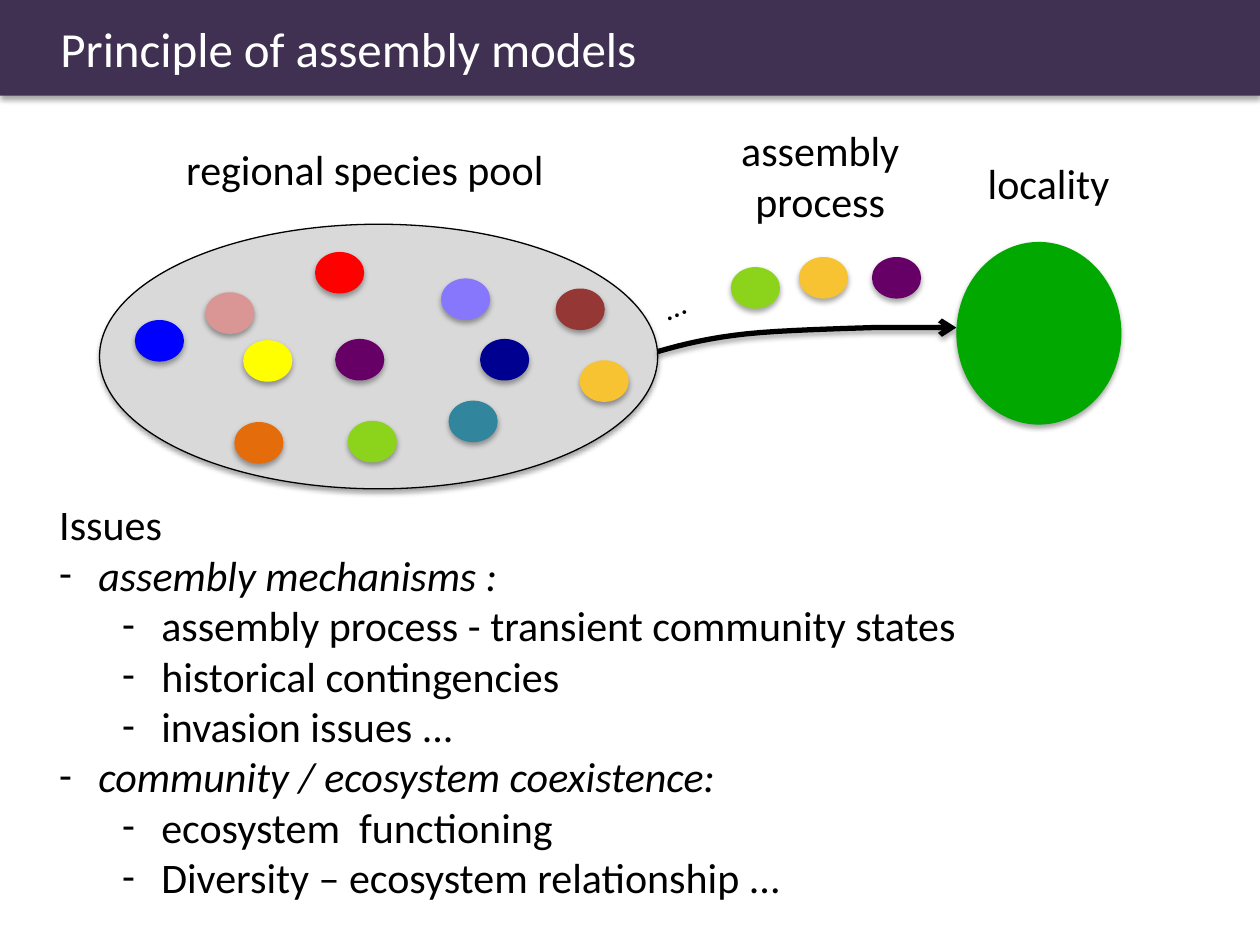
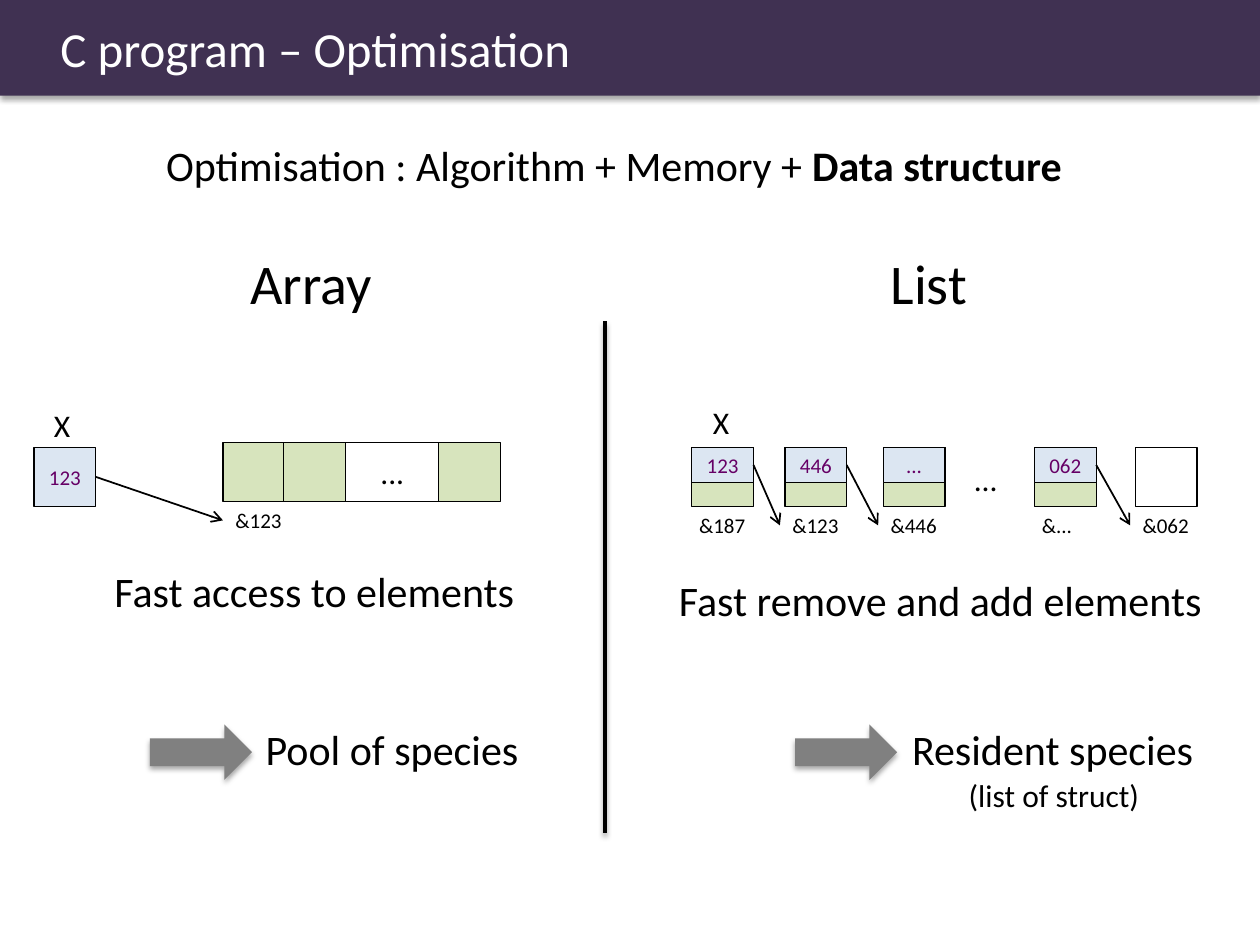
from dataclasses import dataclass

from lxml.etree import SubElement
from pptx import Presentation
from pptx.dml.color import RGBColor
from pptx.enum.shapes import MSO_CONNECTOR, MSO_SHAPE
from pptx.enum.text import MSO_ANCHOR, MSO_AUTO_SIZE, PP_ALIGN
from pptx.oxml.ns import qn
from pptx.util import Inches, Length, Pt

FONT = "Calibri"
COLORS = {
    "band": "403152", "white": "FFFFFF", "black": "000000", "pool": "D9D9D9",
    "locality": "00A800", "arrow": "808080", "pointer": "DCE6F2",
    "element": "D7E4BD", "value": "660066",
    "rose": "D99694", "purple": "660066", "navy": "000090", "amber": "F7C332",
    "blue": "0000FF", "teal": "31859C", "lime": "8CD31C", "yellow": "FFFF00",
    "orange": "E46C0A", "brown": "953735", "lavender": "8677FC", "red": "FF0000",
}
CELL_WIDTH, CELL_HEIGHT, POINTER_HEIGHT = 0.49, 0.47, 0.28
LIST_TOP = 3.55


@dataclass(frozen=True)
class Label:
    text: str
    left: float
    top: float
    width: float
    height: float = 0.5
    size: int = 24


@dataclass(frozen=True)
class Species:
    color: str
    left: float
    top: float


@dataclass(frozen=True)
class Node:
    left: float
    address: str
    pointer: str = ""
    label_width: float = 0.57
    linked: bool = True


@dataclass(frozen=True)
class Issue:
    text: str
    level: int = 0
    bullet: bool = True


POOL = [
    Species("rose", 1.63, 2.32), Species("purple", 2.66, 2.69),
    Species("navy", 3.81, 2.69), Species("amber", 4.6, 2.86),
    Species("blue", 1.07, 2.54), Species("teal", 3.56, 3.18),
    Species("lime", 2.76, 3.34), Species("yellow", 1.93, 2.7),
    Species("orange", 1.86, 3.35), Species("brown", 4.41, 2.29),
    Species("lavender", 3.5, 2.21), Species("red", 2.5, 2),
]
ASSEMBLED = [
    Species("amber", 6.34, 2.04), Species("purple", 6.92, 2.04),
    Species("lime", 5.8, 2.12),
]
ASSEMBLY_LABELS = [
    Label("regional species pool", 1.38, 1.09, 3.07),
    Label("locality", 7.74, 1.2, 1.18),
]
ASSEMBLY_CURVE = [
    [(5.22, 2.79), (5.43, 2.73), (5.64, 2.68), (5.92, 2.65)],
    [(5.92, 2.65), (6.21, 2.62), (6.64, 2.61), (6.92, 2.6)],
    [(6.92, 2.6), (7.19, 2.6), (7.4, 2.6), (7.59, 2.6)],
]
ISSUES = [
    Issue("Issues", bullet=False),
    Issue("assembly mechanisms :"),
    Issue("assembly process - transient community states", 1),
    Issue("historical contingencies", 1),
    Issue("invasion issues ...", 1),
    Issue("community / ecosystem coexistence:"),
    Issue("ecosystem  functioning", 1),
    Issue("Diversity – ecosystem relationship ...", 1),
]
STRUCTURE_LABELS = [
    Label("Array", 1.89, 1.92, 1.19, 0.64, 32),
    Label("List", 6.97, 1.92, 0.82, 0.64, 32),
    Label("X", 0.33, 3.17, 0.33, 0.4, 18),
    Label("X", 5.56, 3.15, 0.33, 0.4, 18),
    Label("...", 2.92, 3.55, 0.39, 0.4, 18),
    Label("...", 7.63, 3.6, 0.39, 0.4, 18),
    Label("Fast access to elements", 0.81, 4.44, 3.43),
    Label("Fast remove and add elements", 5.29, 4.51, 4.42),
    Label("Pool of species", 2.01, 5.69, 2.24),
    Label("Resident species", 7.14, 5.69, 2.47),
    Label("(list of struct)", 7.59, 6.11, 1.57, 0.4, 18),
]
NODES = [
    Node(5.49, "&187", "123"),
    Node(6.23, "&123", "446"),
    Node(7.01, "&446", "...", linked=False),
    Node(8.21, "&...", "062", 0.44),
    Node(9.01, "&062"),
]


def rgb(name: str) -> RGBColor:
    return RGBColor.from_string(COLORS[name])


def inches(*values: float) -> list[Length]:
    return [Inches(value) for value in values]


def style_font(paragraph, size: int, color: str = "black") -> None:
    font = paragraph.font
    font.name, font.size = FONT, Pt(size)
    font.color.rgb = rgb(color)


def set_shadow(shape, visible: bool) -> None:
    """Replace the theme shadow by a soft drop shadow or by none."""
    properties = shape.element.spPr
    effects = properties.find(qn("a:effectLst"))
    if effects is None:
        effects = SubElement(properties, qn("a:effectLst"))
    if visible:
        shadow = SubElement(effects, qn("a:outerShdw"), blurRad=str(Pt(3.1)),
                            dist=str(Pt(1.8)), dir="5400000", rotWithShape="0")
        color = SubElement(shadow, qn("a:srgbClr"), val=COLORS["black"])
        SubElement(color, qn("a:alpha"), val="35000")


def paint(shape, fill: str = "", line: float = 0, shadow: bool = False) -> None:
    if fill:
        shape.fill.solid()
        shape.fill.fore_color.rgb = rgb(fill)
    else:
        shape.fill.background()
    if line:
        shape.line.color.rgb = rgb("black")
        shape.line.width = Pt(line)
    else:
        shape.line.fill.background()
    shape.shadow.inherit = False
    set_shadow(shape, shadow)


def add_arrowhead(line) -> None:
    SubElement(line.line._get_or_add_ln(), qn("a:tailEnd"), type="arrow")


def add_figure(page, kind: MSO_SHAPE, left: float, top: float, width: float,
               height: float, fill: str = "", line: float = 0, shadow: bool = True):
    shape = page.shapes.add_shape(kind, *inches(left, top, width, height))
    paint(shape, fill, line, shadow)
    return shape


def add_species(page, species: list[Species]) -> None:
    for one in species:
        add_figure(page, MSO_SHAPE.OVAL, one.left, one.top, 0.39, 0.33, one.color)


def add_label(page, label: Label, align: PP_ALIGN = PP_ALIGN.LEFT):
    box = page.shapes.add_textbox(
        *inches(label.left, label.top, label.width, label.height))
    frame = box.text_frame
    frame.word_wrap = False
    frame.auto_size = MSO_AUTO_SIZE.SHAPE_TO_FIT_TEXT
    frame.text = label.text
    for para in frame.paragraphs:
        para.alignment = align
        style_font(para, label.size)
    return box


def add_cell(page, left: float, top: float, fill: str = "", value: str = "",
             width: float = CELL_WIDTH, height: float = CELL_HEIGHT):
    cell = add_figure(page, MSO_SHAPE.RECTANGLE, left, top, width, height,
                      fill, 0.75, shadow=False)
    if value:
        cell.text_frame.text = value
        cell.text_frame.vertical_anchor = MSO_ANCHOR.MIDDLE
        para = cell.text_frame.paragraphs[0]
        para.alignment = PP_ALIGN.CENTER
        style_font(para, 12, "value")
    return cell


def add_line(page, start: tuple[float, float], end: tuple[float, float],
             width: float):
    line = page.shapes.add_connector(MSO_CONNECTOR.STRAIGHT, *inches(*start, *end))
    line.line.color.rgb = rgb("black")
    line.line.width = Pt(width)
    return line


def link(page, pointer, address) -> None:
    """Draw an arrow from a pointer cell to the address it holds."""
    line = add_line(page, (0, 0), (1, 1), 1)
    line.begin_connect(pointer, 3)
    line.end_connect(address, 1)
    add_arrowhead(line)
    set_shadow(line, False)


def add_page(deck, layout: int, heading: str):
    page = deck.slides.add_slide(deck.slide_layouts[layout])
    title = page.shapes.title
    title.left, title.top, title.width, title.height = inches(0, 0, 10, 0.76)
    paint(title, "band", shadow=True)
    frame = title.text_frame
    frame.text = heading
    frame.margin_left = Inches(0.48)
    frame.vertical_anchor = MSO_ANCHOR.MIDDLE
    frame.auto_size = MSO_AUTO_SIZE.NONE
    para = frame.paragraphs[0]
    para.alignment = PP_ALIGN.LEFT
    style_font(para, 28, "white")
    return page


def bezier(points: list[tuple[float, float]], t: float) -> tuple[Length, Length]:
    weights = ((1 - t) ** 3, 3 * t * (1 - t) ** 2, 3 * t ** 2 * (1 - t), t ** 3)
    x, y = (sum(w * value for w, value in zip(weights, axis)) for axis in zip(*points))
    return Inches(x), Inches(y)


def add_assembly_arrow(page, steps: int = 8) -> None:
    builder = page.shapes.build_freeform(*inches(*ASSEMBLY_CURVE[0][0]))
    builder.add_line_segments(
        [bezier(part, step / steps) for part in ASSEMBLY_CURVE
         for step in range(1, steps + 1)], close=False)
    curve = builder.convert_to_shape()
    paint(curve, line=3, shadow=True)
    add_arrowhead(curve)


def fill_issues(body) -> None:
    body.left, body.top, body.width, body.height = inches(0.37, 3.91, 9, 3.33)
    frame = body.text_frame
    frame.auto_size = MSO_AUTO_SIZE.NONE
    frame.text = "\n".join(issue.text for issue in ISSUES)
    for para, issue in zip(frame.paragraphs, ISSUES):
        para.level = issue.level
        para.space_before = Pt(0)
        properties = para._p.get_or_add_pPr()
        hanging = 0.31 if issue.bullet else 0
        properties.set("marL", str(Inches(hanging + 0.5 * issue.level)))
        properties.set("indent", str(Inches(-hanging)))
        if issue.bullet:
            SubElement(properties, qn("a:buFont"), typeface=FONT)
            SubElement(properties, qn("a:buChar"), char="-")
        else:
            SubElement(properties, qn("a:buNone"))
        style_font(para, 24)
        para.font.italic = issue.bullet and issue.level == 0


def build_assembly_page(deck) -> None:
    page = add_page(deck, 1, "Principle of assembly models")
    fill_issues(page.placeholders[1])
    add_figure(page, MSO_SHAPE.OVAL, 0.79, 1.78, 4.43, 2.1, "pool", 0.75)
    add_species(page, POOL)
    add_figure(page, MSO_SHAPE.OVAL, 7.59, 1.92, 1.31, 1.45, "locality")
    add_assembly_arrow(page)
    add_species(page, ASSEMBLED)
    dots = add_label(page, Label("…", 5.15, 2.19, 0.54, 0.4, 18))
    dots.text_frame.word_wrap = True
    dots.rotation = 336.8
    for label in ASSEMBLY_LABELS:
        add_label(page, label)
    add_label(page, Label("assembly\nprocess", 5.77, 0.94, 1.48, 0.91), PP_ALIGN.CENTER)


def add_array(page) -> None:
    pointer = add_cell(page, 0.27, 3.55, "pointer", "123")
    for left in (1.77, 2.25, 3.48):
        add_cell(page, left, 3.51, "element")
    add_cell(page, 2.74, 3.51, width=0.74)
    link(page, pointer, add_label(page, Label("&123", 1.77, 3.98, 0.57, 0.3, 12)))


def add_list(page) -> None:
    previous = None
    for node in NODES:
        add_cell(page, node.left, LIST_TOP, "element" if node.pointer else "")
        address = add_label(page, Label(node.address, node.left - 0.04,
                                        LIST_TOP + CELL_HEIGHT, node.label_width, 0.3, 12))
        if previous:
            link(page, previous, address)
        previous = None
        if node.pointer:
            pointer = add_cell(page, node.left, LIST_TOP, "pointer", node.pointer,
                               height=POINTER_HEIGHT)
            previous = pointer if node.linked else None


def build_structure_page(deck) -> None:
    page = add_page(deck, 5, "C program – Optimisation")
    summary = add_label(page, Label("Optimisation : Algorithm + Memory + ", 1.22, 1.06, 7.36))
    span = summary.text_frame.paragraphs[0].add_run()
    span.text = "Data structure"
    span.font.bold = True
    add_array(page)
    add_list(page)
    for label in STRUCTURE_LABELS:
        add_label(page, label)
    set_shadow(add_line(page, (4.8, 2.55), (4.8, 6.61), 2), True)
    for left in (1.19, 6.31):
        add_figure(page, MSO_SHAPE.RIGHT_ARROW, left, 5.75, 0.81, 0.44, "arrow")


def main() -> None:
    deck = Presentation()
    deck.slide_width, deck.slide_height = inches(10, 7.5)
    build_assembly_page(deck)
    build_structure_page(deck)
    deck.save("out.pptx")


if __name__ == "__main__":
    main()
